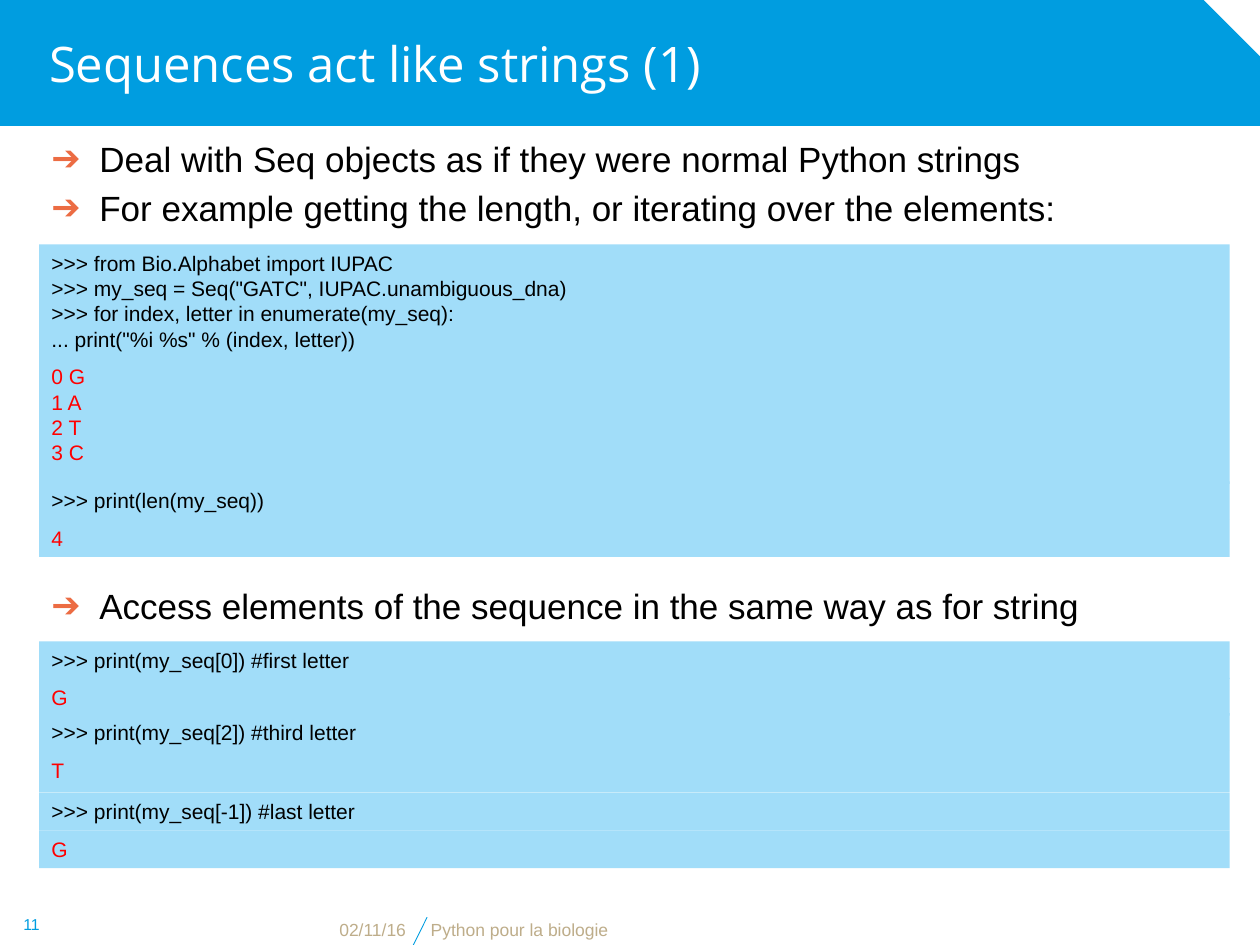
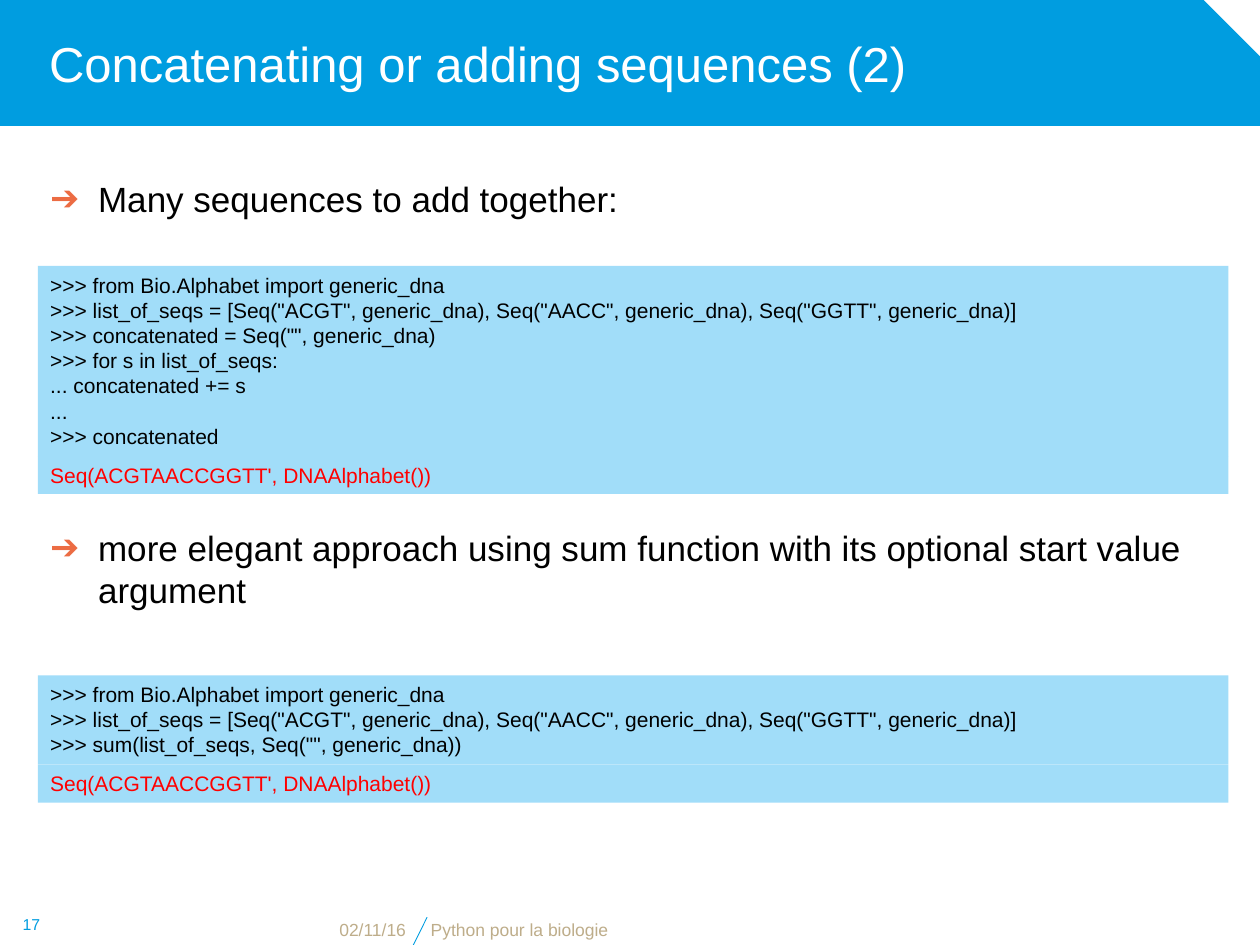
from lxml import etree
from pptx import Presentation
from pptx.dml.color import RGBColor
from pptx.enum.shapes import MSO_CONNECTOR, MSO_SHAPE
from pptx.enum.text import MSO_ANCHOR, PP_ALIGN
from pptx.oxml.ns import qn
from pptx.util import Inches, Pt

BLUE = RGBColor(0x00, 0x9D, 0xE0)
PALE_BLUE = RGBColor(0xA1, 0xDD, 0xF9)
ORANGE = RGBColor(0xEC, 0x6C, 0x43)
SAND = RGBColor(0xBE, 0xAD, 0x8A)
RED = RGBColor(0xFF, 0x00, 0x00)
BLACK = RGBColor(0x00, 0x00, 0x00)
WHITE = RGBColor(0xFF, 0xFF, 0xFF)

COLUMNS, ROWS = 100, 75
CODE_LINE, CODE_PADDING = 2, 1  # rows
BODY_WIDTH = 94.5  # columns


def write(frame, lines, size=12, font="Arial", color=BLACK, align=PP_ALIGN.LEFT,
          anchor=MSO_ANCHOR.TOP, leading=None, bullet=None, left_inset=0.1):
    """Fill a text frame with one paragraph per line."""
    frame.word_wrap = True
    frame.vertical_anchor = anchor
    frame.margin_left = Inches(left_inset)
    for number, line in enumerate(lines):
        paragraph = frame.add_paragraph() if number else frame.paragraphs[0]
        paragraph.alignment = align
        if leading:
            paragraph.line_spacing = Pt(size * leading)
        if bullet:
            if number:
                paragraph.space_before = Pt(size * 0.2)
            add_bullet(paragraph, bullet)
        run = paragraph.add_run()
        run.text = line
        run.font.size = Pt(size)
        run.font.name = font
        run.font.color.rgb = color


def add_bullet(paragraph, symbol):
    properties = paragraph._p.get_or_add_pPr()
    indent = Inches(0.38)
    properties.set("marL", str(indent))
    properties.set("indent", str(-indent))
    bullet_color = etree.SubElement(properties, qn("a:buClr"))
    etree.SubElement(bullet_color, qn("a:srgbClr"), val=str(ORANGE))
    etree.SubElement(properties, qn("a:buFont"), typeface="Arial")
    etree.SubElement(properties, qn("a:buChar"), char=symbol)


class Lesson:
    """Course style and the slide being filled; positions in columns and rows."""

    def __init__(self):
        self.deck = Presentation()
        self.deck.slide_width, self.deck.slide_height = Inches(10), Inches(7.5)
        self.column = self.deck.slide_width / COLUMNS
        self.row = self.deck.slide_height / ROWS

    def place(self, x, y):
        return round(x * self.column), round(y * self.row)

    def start(self, title, number, margin, title_font="Arial"):
        self.slide = self.deck.slides.add_slide(self.deck.slide_layouts[6])
        self.margin = margin
        # Title band
        band = self.panel(0, 0, 100.1, 10, BLUE, MSO_SHAPE.SNIP_1_RECTANGLE)
        band.adjustments[0] = 0.458
        self.rule(32.8, 75, 33.9, 72.8)
        self.text(0, 0, 95, 10, [title], size=28, font=title_font, color=WHITE,
                  anchor=MSO_ANCHOR.MIDDLE, left_inset=0.39)
        # Footer
        footer = dict(size=10, color=SAND, anchor=MSO_ANCHOR.BOTTOM)
        self.text(9.9, 72.8, 23.3, 2.3, ["02/11/16"], align=PP_ALIGN.RIGHT, **footer)
        self.text(33.2, 72.8, 57.5, 2.3, ["Python pour la biologie"], **footer)
        self.text(0, 71.7, 5, 3.3, [number], size=9, color=BLUE,
                  align=PP_ALIGN.CENTER, anchor=MSO_ANCHOR.MIDDLE)

    def panel(self, x, y, width, height, color, outline=MSO_SHAPE.RECTANGLE):
        panel = self.slide.shapes.add_shape(
            outline, *self.place(x, y), *self.place(width, height))
        panel.shadow.inherit = False
        panel.fill.solid()
        panel.fill.fore_color.rgb = color
        panel.line.fill.background()
        return panel

    def rule(self, x1, y1, x2, y2):
        rule = self.slide.shapes.add_connector(
            MSO_CONNECTOR.STRAIGHT, *self.place(x1, y1), *self.place(x2, y2))
        rule.line.color.rgb = BLUE
        rule.line.width = Pt(0.5)
        etree.SubElement(rule._element.spPr, qn("a:effectLst"))

    def text(self, x, y, width, height, lines, **style):
        box = self.slide.shapes.add_textbox(
            *self.place(x, y), *self.place(width, height))
        write(box.text_frame, lines, **style)

    def points(self, top, height, *lines):
        self.text(self.margin, top, BODY_WIDTH, height, lines,
                  size=20, leading=1.2, bullet="➔")

    def code(self, top, *lines, color=BLACK, extra=0):
        """Draw a code block as tall as its lines and return its bottom row."""
        height = len(lines) * CODE_LINE + CODE_PADDING + extra
        block = self.panel(self.margin, top, BODY_WIDTH, height, PALE_BLUE)
        write(block.text_frame, lines, color=color, leading=1.2)
        return top + height

    def output(self, top, *lines, extra=0):
        return self.code(top, *lines, color=RED, extra=extra)


def sequences_as_strings(lesson):
    lesson.start("Sequences act like strings (1)", "11", 3.1, title_font="Open Sans")
    lesson.points(10.4, 14.1,
                  "Deal with Seq objects as if they were normal Python strings",
                  "For example getting the length, or iterating over the elements:")
    # Iteration and length
    lesson.code(19.4,
                ">>> from Bio.Alphabet import IUPAC",
                '>>> my_seq = Seq("GATC", IUPAC.unambiguous_dna)',
                ">>> for index, letter in enumerate(my_seq):",
                '... print("%i %s" % (index, letter))')
    lesson.output(28.4, "0 G", "1 A", "2 T", "3 C", extra=1)
    length_end = lesson.code(38.2, ">>> print(len(my_seq))")
    lesson.output(length_end, "4")
    # Element access
    lesson.points(45.9, 6.2,
                  "Access elements of the sequence in the same way as for string")
    lesson.code(50.9, ">>> print(my_seq[0]) #first letter")
    lesson.output(53.8, "G")
    third_end = lesson.code(56.6, ">>> print(my_seq[2]) #third letter")
    third_letter_end = lesson.output(third_end, "T", extra=0.3)
    last_end = lesson.code(third_letter_end, ">>> print(my_seq[-1]) #last letter")
    lesson.output(last_end, "G")


def adding_sequences(lesson):
    setup = (
        ">>> from Bio.Alphabet import generic_dna",
        '>>> list_of_seqs = [Seq("ACGT", generic_dna), '
        'Seq("AACC", generic_dna), Seq("GGTT", generic_dna)]',
    )
    joined = "Seq(ACGTAACCGGTT', DNAAlphabet())"
    lesson.start("Concatenating or adding sequences (2)", "17", 3)
    # Loop
    lesson.points(13.6, 4.9, "Many sequences to add together:")
    loop_end = lesson.code(21.1, *setup,
                           '>>> concatenated = Seq("", generic_dna)',
                           ">>> for s in list_of_seqs:",
                           "... concatenated += s",
                           "...",
                           ">>> concatenated", extra=0.1)
    lesson.output(loop_end, joined)
    # Sum
    lesson.points(41.3, 7.4, "more elegant approach using sum function "
                  "with its optional start value argument")
    sum_end = lesson.code(53.6, *setup,
                          '>>> sum(list_of_seqs, Seq("", generic_dna))', extra=0.1)
    lesson.output(sum_end, joined)


def main():
    lesson = Lesson()
    sequences_as_strings(lesson)
    adding_sequences(lesson)
    lesson.deck.save("out.pptx")


if __name__ == "__main__":
    main()
